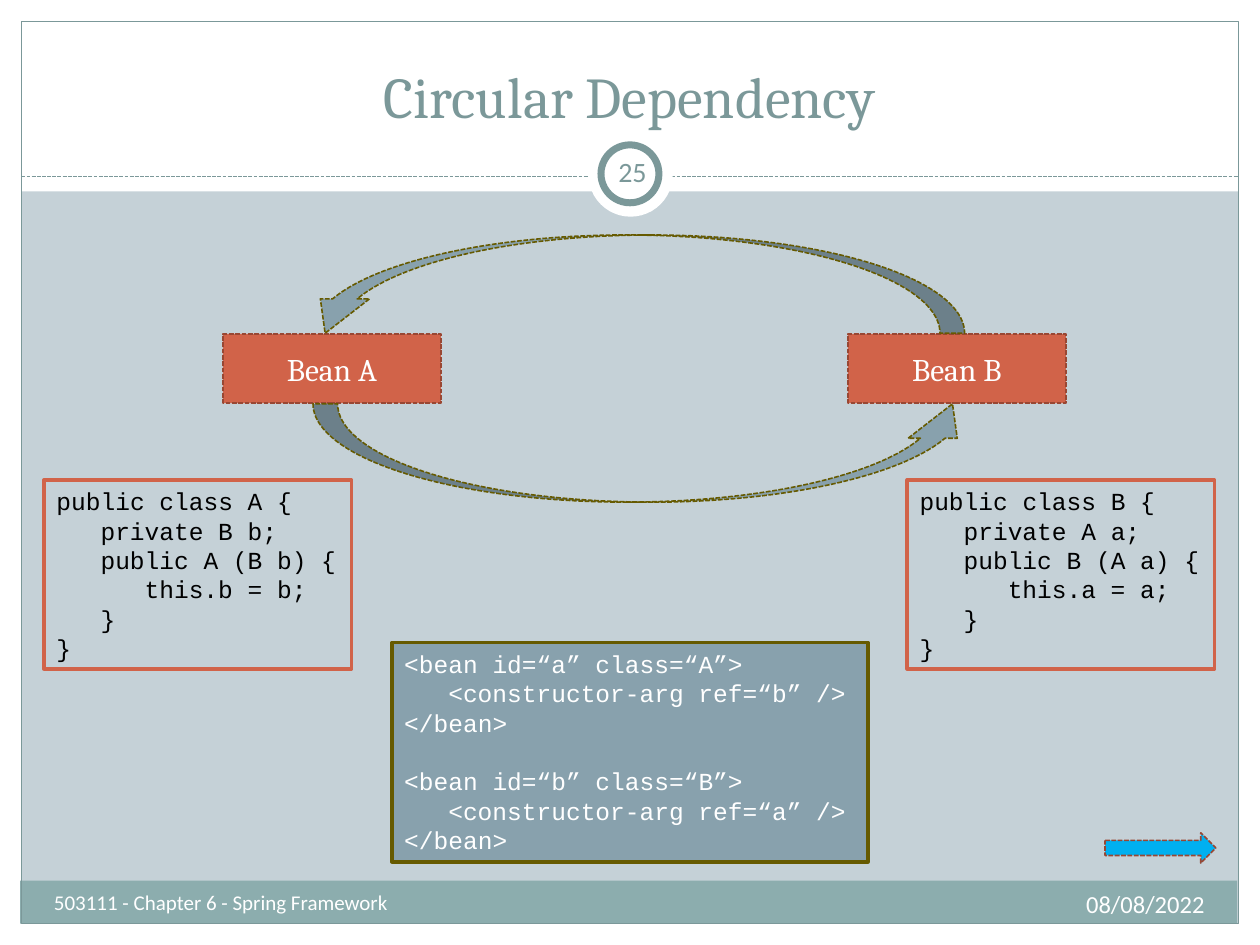
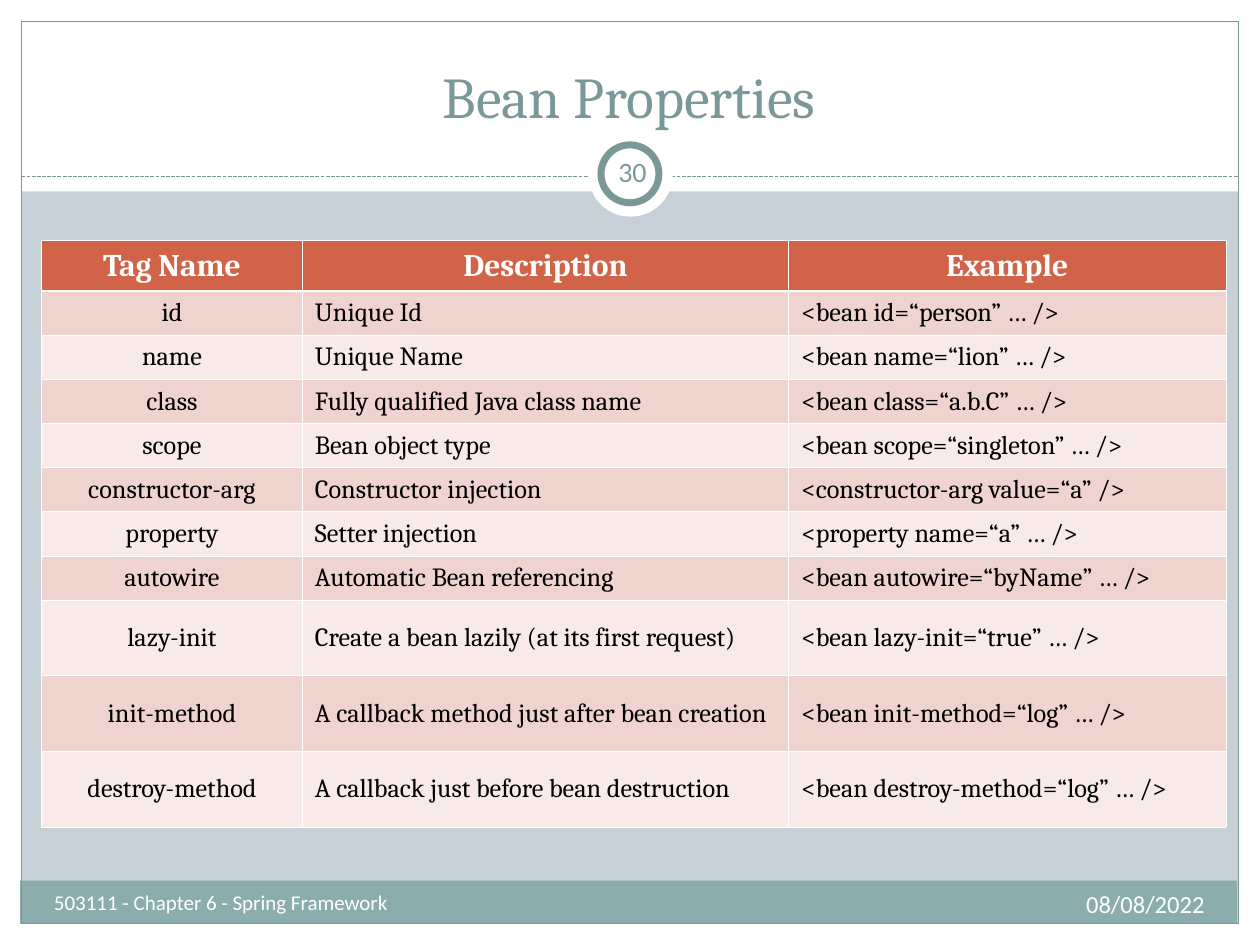
from pptx import Presentation
from pptx.dml.color import RGBColor
from pptx.enum.dml import MSO_LINE
from pptx.enum.shapes import MSO_CONNECTOR, MSO_SHAPE
from pptx.enum.text import MSO_ANCHOR, PP_ALIGN
from pptx.oxml.ns import qn
from pptx.util import Inches, Pt
from lxml.etree import SubElement

COLORS = {
    "background": "C5D1D7",
    "white": "FFFFFF",
    "black": "000000",
    "teal": "7B9899",
    "footer": "8CADAE",
    "red": "D16349",
    "dark_red": "994733",
    "slate": "88A1AD",
    "olive": "665A00",
    "blue": "00B0F0",
    "odd_row": "EED3CF",
    "even_row": "F7EAE9",
}
HEADING_FONT, BODY_FONT, CODE_FONT = "Cambria", "Calibri", "Courier New"
CODE_INDENT = 0.35
CODE_LINE = Pt(16.8)

PROPERTIES = [
    ("Tag Name", "Description", "Example"),
    ("id", "Unique Id", "<bean id=“person” … />"),
    ("name", "Unique Name", "<bean name=“lion” … />"),
    ("class", "Fully qualified Java class name", "<bean class=“a.b.C” … />"),
    ("scope", "Bean object type", "<bean scope=“singleton” … />"),
    ("constructor-arg", "Constructor injection", "<constructor-arg value=“a” />"),
    ("property", "Setter injection", "<property name=“a” … />"),
    ("autowire", "Automatic Bean referencing", "<bean autowire=“byName” … />"),
    ("lazy-init", "Create a bean lazily (at its first request)", "<bean lazy-init=“true” … />"),
    ("init-method", "A callback method just after bean creation", "<bean init-method=“log” … />"),
    ("destroy-method", "A callback just before bean destruction", "<bean destroy-method=“log” … />"),
]


def color(name):
    return RGBColor.from_string(COLORS[name])


def apply(target, values):
    for name, value in values.items():
        setattr(target, name, value)


def write(paragraph, text, font, size, ink, align=PP_ALIGN.LEFT, bold=False):
    paragraph.alignment = align
    run = paragraph.add_run()
    run.text = text
    apply(run.font, {"name": font, "size": Pt(size), "bold": bold})
    run.font.color.rgb = color(ink)


def format_frame(frame, anchor=MSO_ANCHOR.TOP, side=0.1):
    apply(frame, {
        "word_wrap": True,
        "vertical_anchor": anchor,
        "margin_left": Inches(side),
        "margin_right": Inches(side),
        "margin_top": Inches(0.05),
        "margin_bottom": Inches(0.05),
    })


def set_line(line, ink, width, dashed=False):
    line.color.rgb = color(ink)
    line.width = Pt(width)
    if dashed:
        line.dash_style = MSO_LINE.SQUARE_DOT


def add_box(slide, box, fill=None, line=None, kind=MSO_SHAPE.RECTANGLE):
    shape = slide.shapes.add_shape(kind, *map(Inches, box))
    shape.shadow.inherit = False
    if fill:
        shape.fill.solid()
        shape.fill.fore_color.rgb = color(fill)
    else:
        shape.fill.background()
    if line:
        set_line(shape.line, *line)
    else:
        shape.line.fill.background()
    return shape


def add_text(slide, box, text, font, size, ink, align=PP_ALIGN.LEFT,
             anchor=MSO_ANCHOR.TOP, side=0.1):
    frame = slide.shapes.add_textbox(*map(Inches, box)).text_frame
    format_frame(frame, anchor, side)
    write(frame.paragraphs[0], text, font, size, ink, align)


def add_divider(slide):
    divider = slide.shapes.add_connector(
        MSO_CONNECTOR.STRAIGHT, Inches(0.17), Inches(1.4), Inches(9.83), Inches(1.4))
    set_line(divider.line, "teal", 0.75, True)
    SubElement(divider._element.spPr, qn("a:effectLst"))


def add_slide(presentation, title, number):
    slide = presentation.slides.add_slide(presentation.slide_layouts[6])
    slide.background.fill.solid()
    slide.background.fill.fore_color.rgb = color("background")
    for band in [(0, 7.33, 10, 0.17), (0, 0, 10, 1.52), (0, 0, 0.17, 7.5), (9.83, 0, 0.17, 7.5)]:
        add_box(slide, band, "white")
    add_box(slide, (0.16, 6.99, 9.66, 0.34), "footer")
    add_box(slide, (0.17, 0.17, 9.66, 7.16), line=("teal", 0.75))
    add_divider(slide)
    add_box(slide, (4.67, 1.05, 0.67, 0.67), "white", kind=MSO_SHAPE.OVAL)
    add_box(slide, (4.77, 1.15, 0.46, 0.46), "white", ("teal", 4), MSO_SHAPE.OVAL)
    add_text(slide, (0.33, 0.25, 9.33, 0.83), title, HEADING_FONT, 33, "teal",
             PP_ALIGN.CENTER, MSO_ANCHOR.BOTTOM)
    add_text(slide, (4.77, 1.12, 0.5, 0.48), number, BODY_FONT, 16, "teal",
             PP_ALIGN.CENTER, MSO_ANCHOR.MIDDLE, 0.05)
    add_text(slide, (0.33, 7.01, 3.92, 0.4), "503111 - Chapter 6 - Spring Framework",
             BODY_FONT, 12, "white")
    add_text(slide, (6.33, 7.01, 3.33, 0.4), "08/08/2022", BODY_FONT, 14, "white",
             PP_ALIGN.RIGHT)
    return slide


def add_bean(slide, left, name):
    shape = add_box(slide, (left, 2.65, 1.73, 0.55), "red", ("dark_red", 0.91, True))
    format_frame(shape.text_frame, MSO_ANCHOR.MIDDLE)
    write(shape.text_frame.paragraphs[0], name, HEADING_FONT, 18, "white", PP_ALIGN.CENTER)


def add_curved_arrow(slide, left, top, rotation):
    arrow = add_box(slide, (left, top, 0.78, 5.27), "slate", ("olive", 0.91, True),
                    MSO_SHAPE.CURVED_RIGHT_ARROW)
    arrow.rotation = rotation
    for index, value in enumerate((0.25, 0.5, 0.35)):
        arrow.adjustments[index] = value


def add_code(slide, box, blocks, ink, line, fill=None):
    frame = add_box(slide, box, fill, line).text_frame
    format_frame(frame)
    paragraph = frame.paragraphs[0]
    for block_index, block in enumerate(blocks):
        for line_index, (level, text) in enumerate(block):
            if block_index or line_index:
                paragraph = frame.add_paragraph()
            write(paragraph, text, CODE_FONT, 14, ink)
            if level:
                paragraph._p.get_or_add_pPr().set("marL", str(Inches(CODE_INDENT * level)))
            if block_index and not line_index:
                paragraph.space_before = CODE_LINE


def class_code(name, other):
    field = other.lower()
    return [(0, f"public class {name} {{"), (1, f"private {other} {field};"),
            (1, f"public {name} ({other} {field}) {{"), (2, f"this.{field} = {field};"),
            (1, "}"), (0, "}")]


def bean_code(name, other):
    return [(0, f"<bean id=“{name.lower()}” class=“{name}”>"),
            (1, f"<constructor-arg ref=“{other.lower()}” />"), (0, "</bean>")]


def set_borders(cell, widths):
    properties = cell._tc.get_or_add_tcPr()
    for index, (side, width) in enumerate(widths.items()):
        border = properties.makeelement(qn(f"a:{side}"), {"w": str(Pt(width))})
        fill = SubElement(border, qn("a:solidFill"))
        SubElement(fill, qn("a:srgbClr"), val=COLORS["white"])
        properties.insert(index, border)


def add_properties_table(slide):
    column_widths = (2.07, 3.86, 3.47)
    row_heights = [0.4] + [0.35] * 7 + [0.6] * 3
    table = slide.shapes.add_table(
        len(PROPERTIES), len(column_widths), Inches(0.33), Inches(1.91),
        Inches(sum(column_widths)), Inches(sum(row_heights))).table
    for column, width in zip(table.columns, column_widths):
        column.width = Inches(width)
    for row_index, (values, height) in enumerate(zip(PROPERTIES, row_heights)):
        table.rows[row_index].height = Inches(height)
        header = row_index == 0
        fill = "red" if header else ("even_row", "odd_row")[row_index % 2]
        size, ink = (18, "white") if header else (15, "black")
        for column_index, text in enumerate(values):
            cell = table.cell(row_index, column_index)
            cell.vertical_anchor = MSO_ANCHOR.MIDDLE
            cell.fill.solid()
            cell.fill.fore_color.rgb = color(fill)
            centred = header or column_index == 0
            write(cell.text_frame.paragraphs[0], text, HEADING_FONT, size, ink,
                  PP_ALIGN.CENTER if centred else PP_ALIGN.LEFT, header)
            set_borders(cell, {"lnL": 0.45, "lnR": 0.45,
                               "lnT": 1.47 if row_index == 1 else 0.45,
                               "lnB": 1.47 if header else 0.45})


def build_circular_dependency(presentation):
    slide = add_slide(presentation, "Circular Dependency", "25")
    add_bean(slide, 1.77, "Bean A")
    add_bean(slide, 6.73, "Bean B")
    add_curved_arrow(slide, 4.73, 0.96, 270)
    add_curved_arrow(slide, 4.63, -0.38, 90)
    for left, name, other in [(0.35, "A", "B"), (7.2, "B", "A")]:
        add_code(slide, (left, 3.81, 2.44, 1.5), [class_code(name, other)], "black", ("red", 2))
    add_code(slide, (3.11, 5.1, 3.78, 1.74), [bean_code("A", "B"), bean_code("B", "A")],
             "white", ("olive", 2), "slate")
    add_box(slide, (8.77, 6.61, 0.88, 0.24), "blue", ("dark_red", 0.91, True),
            MSO_SHAPE.RIGHT_ARROW)


def main():
    presentation = Presentation()
    apply(presentation, {"slide_width": Inches(10), "slide_height": Inches(7.5)})
    build_circular_dependency(presentation)
    add_properties_table(add_slide(presentation, "Bean Properties", "30"))
    presentation.save("out.pptx")


if __name__ == "__main__":
    main()
